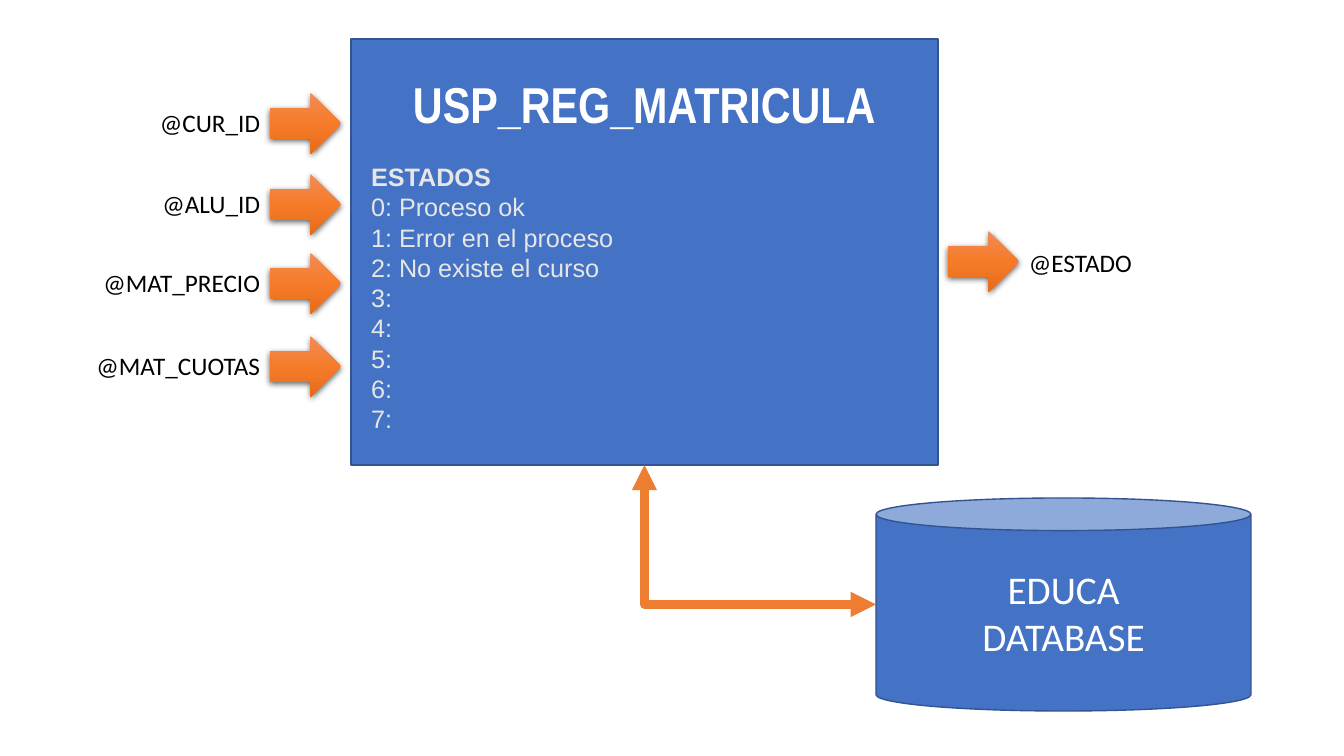
from lxml.etree import SubElement
from pptx import Presentation
from pptx.dml.color import RGBColor
from pptx.enum.shapes import MSO_CONNECTOR, MSO_SHAPE
from pptx.enum.text import MSO_ANCHOR, MSO_AUTO_SIZE, PP_ALIGN
from pptx.oxml.ns import qn
from pptx.util import Emu, Pt

# Content
TITLE = "USP_REG_MATRICULA"
STATES_HEADING = "ESTADOS"
STATES = ["Proceso ok", "Error en el proceso", "No existe el curso", "", "", "", "", ""]
INPUTS = [("@CUR_ID", 93), ("@ALU_ID", 174), ("@MAT_PRECIO", 253), ("@MAT_CUOTAS", 336)]
OUTPUT = ("@ESTADO", 231)
DATABASE = ["EDUCA", "DATABASE"]

# Layout in px
PX = 914400 / 100.8
PROCEDURE_BOX = (351, 39, 587, 426)
DATABASE_BOX = (876, 498, 375, 213)
ARROW_WIDTH, ARROW_HEIGHT = 71, 61
LABEL_WIDTH, LABEL_HEIGHT = 220, 40
ARROW_GAP = 10

COLORS = {
    "blue": "4472C4", "outline": "325491", "orange": "ED7D31",
    "white": "FFFFFF", "light": "E7E6E6", "black": "000000",
}
ARROW_GRADIENT = [(0, "F18C57"), (50, "F67B28"), (100, "E56C19")]


def px(length):
    return Emu(round(length * PX))


def color(name):
    return RGBColor.from_string(COLORS[name])


def add_shape(slide, kind, box):
    shape = slide.shapes.add_shape(kind, *map(px, box))
    shape.shadow.inherit = False
    return shape


def add_blue_shape(slide, kind, box):
    shape = add_shape(slide, kind, box)
    shape.fill.solid()
    shape.fill.fore_color.rgb = color("blue")
    shape.line.color.rgb = color("outline")
    shape.line.width = Pt(1)
    shape.text_frame.word_wrap = True
    shape.text_frame.vertical_anchor = MSO_ANCHOR.MIDDLE
    return shape


def style(paragraph, font_name, size, color_name, alignment, bold=False):
    paragraph.alignment = alignment
    font = paragraph.font
    font.name, font.size, font.bold = font_name, Pt(size), bold
    font.color.rgb = color(color_name)


def add_arrow(slide, left, top):
    arrow = add_shape(slide, MSO_SHAPE.RIGHT_ARROW, (left, top, ARROW_WIDTH, ARROW_HEIGHT))
    arrow.line.fill.background()
    arrow.fill.gradient()
    arrow.fill.gradient_angle = 270
    properties = arrow._element.spPr
    stops = properties.find(".//" + qn("a:gsLst"))
    for stop in list(stops):
        stops.remove(stop)
    for position, value in ARROW_GRADIENT:
        stop = SubElement(stops, qn("a:gs"), pos=str(position * 1000))
        SubElement(stop, qn("a:srgbClr"), val=value)
    # Soft shadow below the arrow
    shadow = SubElement(properties.find(qn("a:effectLst")), qn("a:outerShdw"),
                        blurRad=str(Pt(4.5)), dist=str(Pt(1.5)), dir="5400000",
                        algn="ctr", rotWithShape="0")
    shade = SubElement(shadow, qn("a:srgbClr"), val=COLORS["black"])
    SubElement(shade, qn("a:alpha"), val="63000")


def add_label(slide, text, left, top, alignment):
    label = slide.shapes.add_textbox(*map(px, (left, top, LABEL_WIDTH, LABEL_HEIGHT)))
    frame = label.text_frame
    frame.word_wrap = True
    frame.auto_size = MSO_AUTO_SIZE.SHAPE_TO_FIT_TEXT
    frame.text = text
    style(frame.paragraphs[0], "Calibri", 18, "black", alignment)


def add_procedure(slide):
    procedure = add_blue_shape(slide, MSO_SHAPE.RECTANGLE, PROCEDURE_BOX)
    frame = procedure.text_frame
    frame.margin_left = frame.margin_right = px(20)
    numbered = [f"{number}: {state}".strip() for number, state in enumerate(STATES)]
    frame.text = "\n".join([TITLE, STATES_HEADING, *numbered])
    title, heading, *states = frame.paragraphs
    style(title, "Arial Narrow", 36, "white", PP_ALIGN.CENTER, bold=True)
    title.line_spacing = Pt(45)
    heading.space_before = Pt(20)
    for paragraph in [heading, *states]:
        style(paragraph, "Arial", 18, "light", PP_ALIGN.LEFT, bold=paragraph is heading)
        paragraph.line_spacing = Pt(21.6)
    return procedure


def add_database(slide):
    database = add_blue_shape(slide, MSO_SHAPE.CAN, DATABASE_BOX)
    database.adjustments[0] = 0.153
    database.text_frame.text = "\n".join(DATABASE)
    for paragraph in database.text_frame.paragraphs:
        style(paragraph, "Calibri", 28, "white", PP_ALIGN.CENTER)
    return database


def add_link(slide, database, procedure):
    link = slide.shapes.add_connector(
        MSO_CONNECTOR.ELBOW,
        database.left, database.top + database.height // 2,
        procedure.left + procedure.width // 2, procedure.top + procedure.height)
    link.begin_connect(database, 1)
    link.end_connect(procedure, 2)
    # The left side of a can is its connection site 2
    link._element.find(".//" + qn("a:stCxn")).set("idx", "2")
    link.line.color.rgb = color("orange")
    link.line.width = Pt(6)
    properties = link._element.spPr
    properties.find(qn("a:prstGeom")).set("prst", "bentConnector2")
    line = properties.find(qn("a:ln"))
    for end in ("a:headEnd", "a:tailEnd"):
        SubElement(line, qn(end), type="triangle")
    SubElement(properties, qn("a:effectLst"))


def main():
    presentation = Presentation()
    presentation.slide_width, presentation.slide_height = px(1344), px(756)
    slide = presentation.slides.add_slide(presentation.slide_layouts[6])

    procedure = add_procedure(slide)

    # Input parameters, left of the procedure
    box_left, _, box_width, _ = PROCEDURE_BOX
    arrow_left = box_left - ARROW_GAP - ARROW_WIDTH
    for text, top in INPUTS:
        add_arrow(slide, arrow_left, top)
        add_label(slide, text, arrow_left - LABEL_WIDTH, top + 9, PP_ALIGN.RIGHT)

    # Output parameter, right of the procedure
    text, top = OUTPUT
    arrow_left = box_left + box_width + ARROW_GAP
    add_arrow(slide, arrow_left, top)
    add_label(slide, text, arrow_left + ARROW_WIDTH, top + 11, PP_ALIGN.LEFT)

    # Database and its two-way link
    add_link(slide, add_database(slide), procedure)
    presentation.save("out.pptx")


if __name__ == "__main__":
    main()
